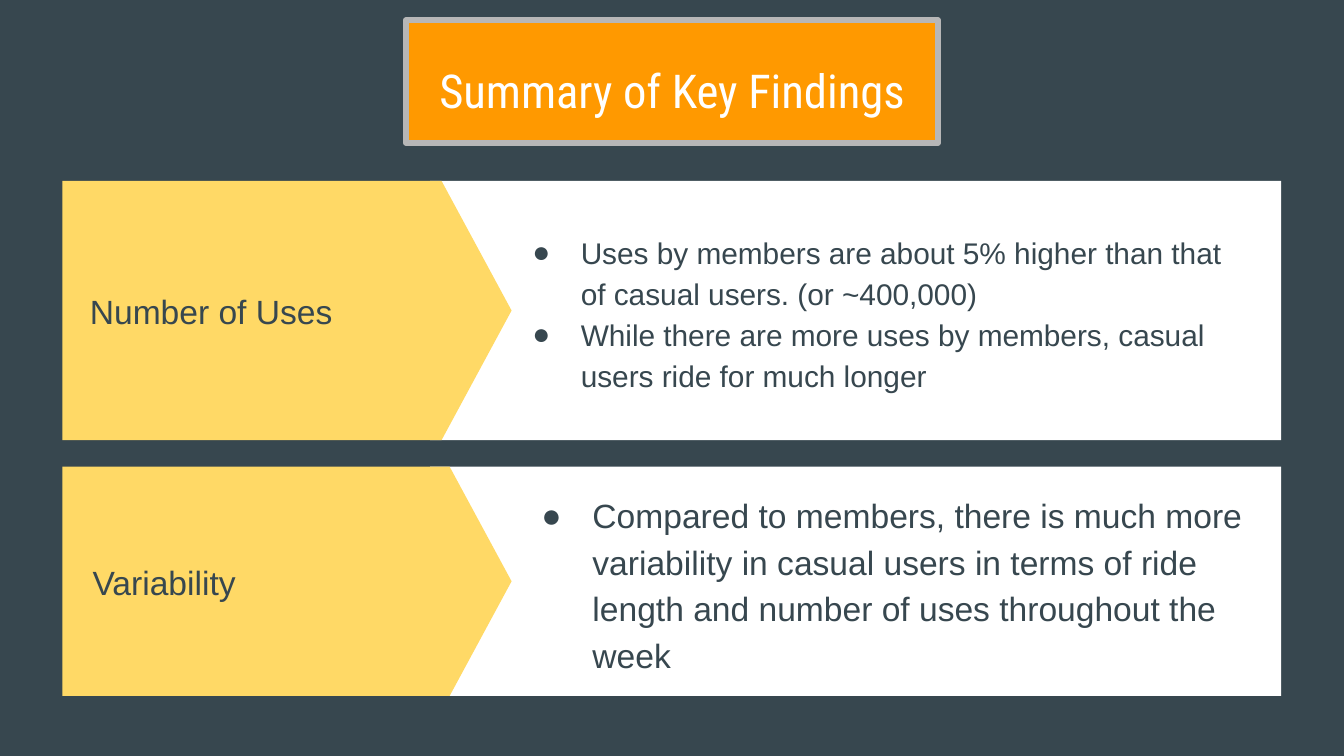
from dataclasses import dataclass

from lxml.etree import SubElement
from pptx import Presentation
from pptx.dml.color import RGBColor
from pptx.enum.shapes import MSO_SHAPE
from pptx.enum.text import MSO_ANCHOR, PP_ALIGN
from pptx.oxml.ns import qn
from pptx.util import Inches, Pt


@dataclass(frozen=True)
class Theme:
    dark: str = "37474F"
    light: str = "FFFFFF"
    gold: str = "FFD966"
    accent: str = "FF9900"
    edge: str = "B7B7B7"
    body: str = "Arial"
    head: str = "Roboto Condensed"
    title: int = 25
    large: int = 18
    small: int = 16


def rgb(code):
    return RGBColor.from_string(code)


def write(para, text, *, font, size, color, align=None, lead=None, after=None, hang=None):
    run = para.add_run()
    run.text = text
    run.font.name, run.font.size = font, Pt(size)
    run.font.color.rgb = rgb(color)
    para.alignment, para.line_spacing = align, lead
    if after:
        para.space_after = Pt(after)
    if hang:
        props = para._p.get_or_add_pPr()
        props.set("marL", str(Inches(0.5)))
        props.set("indent", str(-Inches(hang)))
        tint = SubElement(props, qn("a:buClr"))
        SubElement(tint, qn("a:srgbClr")).set("val", color)
        SubElement(props, qn("a:buFont")).set("typeface", font)
        SubElement(props, qn("a:buChar")).set("char", "●")


class Deck:
    """Draws on a 16:9 slide with a grid of 100 columns and square cells."""

    def __init__(self, theme):
        self.theme = theme
        self.file = Presentation()
        self.file.slide_width = Inches(10)
        self.file.slide_height = Inches(10) * 9 // 16
        self.slide = self.file.slides.add_slide(self.file.slide_layouts[6])
        self.slide.background.fill.solid()
        self.slide.background.fill.fore_color.rgb = rgb(theme.dark)
        self.cell = self.file.slide_width / 100

    def place(self, *cells):
        return [round(n * self.cell) for n in cells]

    def shape(self, kind, box, fill, line=None, group=None):
        home = group or self.slide
        item = home.shapes.add_shape(kind, *self.place(*box))
        item.shadow.inherit = False
        item.fill.solid()
        item.fill.fore_color.rgb = rgb(fill)
        if line:
            item.line.color.rgb = rgb(line)
            item.line.width = Pt(3)
        else:
            item.line.fill.background()
        return item

    def text(self, box, lines, anchor=MSO_ANCHOR.MIDDLE, **form):
        frame = self.slide.shapes.add_textbox(*self.place(*box)).text_frame
        frame.word_wrap = True
        frame.vertical_anchor = anchor
        frame.margin_left = frame.margin_right = Inches(0.1)
        frame.margin_top = frame.margin_bottom = Inches(0.1)
        for i, line in enumerate(lines):
            para = frame.add_paragraph() if i else frame.paragraphs[0]
            write(para, line, **form)

    def title(self, text):
        t = self.theme
        self.shape(MSO_SHAPE.RECTANGLE, (30.2, 1.5, 39.6, 9.15), t.accent, t.edge)
        self.text((24.1, 3, 51.8, 6.2), [text], MSO_ANCHOR.TOP, font=t.head,
                  size=t.title, color=t.light, align=PP_ALIGN.CENTER, lead=1.15, after=16)

    def band(self, top, high, label, points, size, hang, left, start):
        t = self.theme
        group = self.slide.shapes.add_group_shape()
        self.shape(MSO_SHAPE.RECTANGLE, (32, top, 63.34, high), t.light, group=group)
        flag = self.shape(MSO_SHAPE.PENTAGON, (4.64, top, 33.42, high), t.gold, group=group)
        flag.adjustments[0] = 0.27
        self.text((left, top + 0.05, 26.5, high), [label],
                  font=t.body, size=t.large, color=t.dark)
        self.text((start, top + 0.05, 55.9, high), points, font=t.body,
                  size=size, color=t.dark, lead=1.15, hang=hang)


def main():
    theme = Theme()
    deck = Deck(theme)
    deck.band(13.46, 19.3, "Number of Uses", [
        "Uses by members are about 5% higher than that of casual users. (or ~400,000)",
        "While there are more uses by members, casual users ride for much longer",
    ], theme.small, hang=0.36, left=5.7, start=37.23)
    deck.title("Summary of Key Findings")
    deck.band(34.73, 17.05, "Variability", [
        "Compared to members, there is much more variability in casual users "
        "in terms of ride length and number of uses throughout the week",
    ], theme.large, hang=0.38, left=5.9, start=38.1)
    deck.file.save("out.pptx")


if __name__ == "__main__":
    main()
